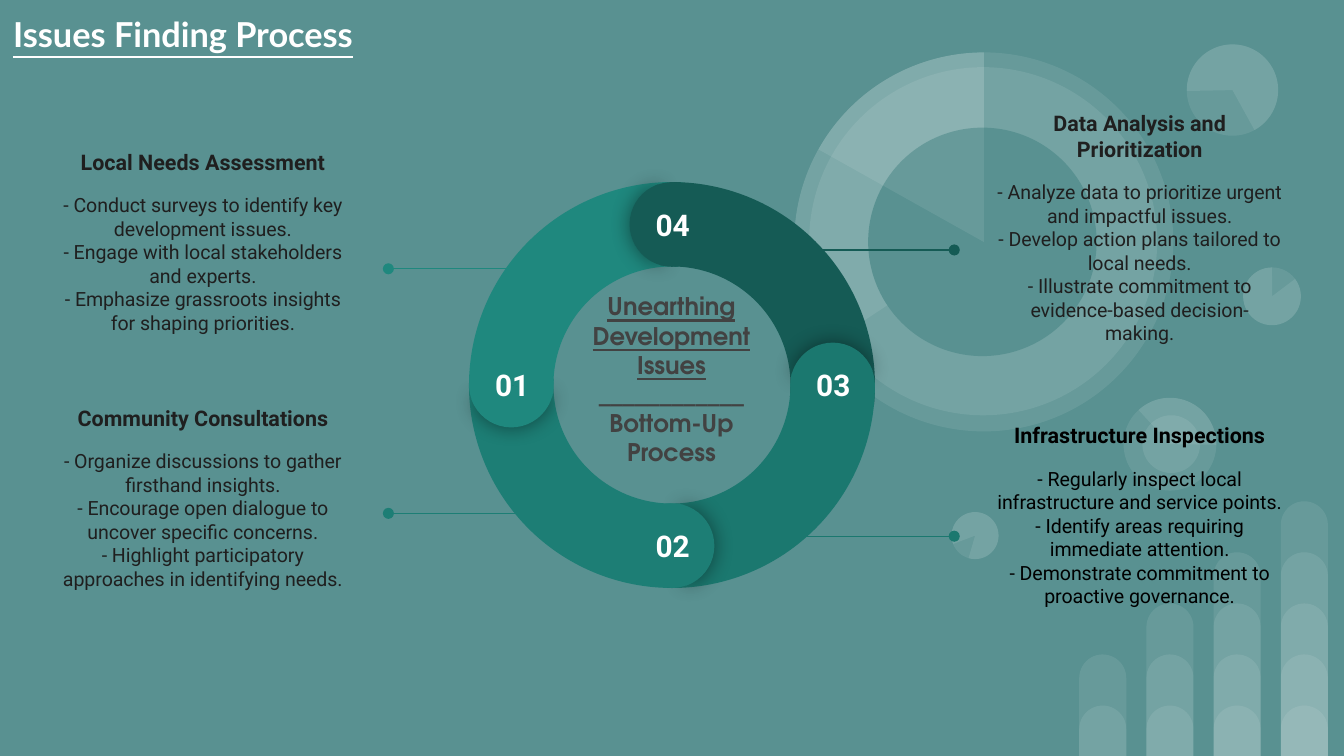
import math

import pptx
import pptx.dml.color
import pptx.enum.shapes
import pptx.enum.text
import pptx.oxml
import pptx.oxml.ns
import pptx.util
from lxml import etree

RGBColor = pptx.dml.color.RGBColor
SHAPE = pptx.enum.shapes.MSO_SHAPE
ANCHOR = pptx.enum.text.MSO_ANCHOR
ALIGN = pptx.enum.text.PP_ALIGN
qn = pptx.oxml.ns.qn

BACKGROUND = RGBColor(0x59, 0x91, 0x91)
WHITE = RGBColor(0xFF, 0xFF, 0xFF)
BLACK = RGBColor(0x00, 0x00, 0x00)
INK = RGBColor(0x1F, 0x1F, 0x1F)
GREY = RGBColor(0x42, 0x42, 0x42)
TEAL_1 = RGBColor(0x1F, 0x88, 0x7E)
TEAL_2 = RGBColor(0x1D, 0x7E, 0x75)
TEAL_3 = RGBColor(0x1B, 0x78, 0x6F)
TEAL_4 = RGBColor(0x15, 0x5B, 0x55)

# Square grid cells: 100 columns by 56.25 rows
COLUMNS, ROWS = 100, 56.25
SLIDE_WIDTH = pptx.util.Inches(10)
CELL = SLIDE_WIDTH // COLUMNS
INSET = 1

CENTER_X, CENTER_Y = 50, 28.65
RING, CAP = 30.2, 6.3
# Label, colour, clockwise angle of the cap from the top, end of the arc
RING_PARTS = [
    ("02", TEAL_2, 180, 181.8),
    ("01", TEAL_1, 270, 181.8),
    ("04", TEAL_4, 0, 183.5),
    ("03", TEAL_3, 90, 180.8),
]

# Left, top, height, extra bottom inset, colour, heading, points
TOPICS = [
    (3.5, 10.9, 16, 1.9, INK, "Local Needs Assessment", [
        "- Conduct surveys to identify key development issues.",
        "- Engage with local stakeholders and experts.",
        "- Emphasize grassroots insights for shaping priorities."]),
    (3.5, 30.9, 14.1, 1.9, INK, "Community Consultations", [
        "- Organize discussions to gather firsthand insights.",
        "- Encourage open dialogue to uncover specific concerns.",
        "- Highlight participatory approaches in identifying needs."]),
    (73.2, 11.6, 14.1, 3.5, INK, "Data Analysis and Prioritization", [
        "- Analyze data to prioritize urgent and impactful issues.",
        "- Develop action plans tailored to local needs.",
        "- Illustrate commitment to evidence-based decision-making."]),
    (73.2, 33, 14.1, 3.5, BLACK, "Infrastructure Inspections", [
        "- Regularly inspect local infrastructure and service points.",
        "- Identify areas requiring immediate attention.",
        "- Demonstrate commitment to proactive governance."]),
]

# Start column, end column, row, colour
LEADERS = [
    (40.3, 28.9, 20, TEAL_1),
    (43.2, 28.9, 38.2, TEAL_2),
    (57, 71, 18.6, TEAL_4),
    (57, 71, 39.9, TEAL_3),
]


def cells(count):
    return round(count * CELL)


def add_figure(page, kind, left, top, width, height, color,
               alpha=None, turn=0, adjustments=()):
    """Add a borderless preset shape; alpha is the opacity in percent."""
    shape = page.shapes.add_shape(
        kind, cells(left), cells(top), cells(width), cells(height))
    shape.shadow.inherit = False
    shape.rotation = turn
    shape.line.fill.background()
    shape.fill.solid()
    shape.fill.fore_color.rgb = color
    for index, value in enumerate(adjustments):
        shape.adjustments[index] = value
    if alpha is not None:
        tint = shape.element.spPr.find(qn("a:solidFill"))[0]
        etree.SubElement(tint, qn("a:alpha"), val=str(alpha * 1000))
    return shape


def add_glow_shadow(shape):
    effects = shape.element.spPr.find(qn("a:effectLst"))
    shadow = etree.SubElement(effects, qn("a:outerShdw"), dist="0", dir="0",
                              blurRad=str(pptx.util.Pt(11.2)), rotWithShape="0")
    color = etree.SubElement(shadow, qn("a:srgbClr"), val=str(BLACK))
    etree.SubElement(color, qn("a:alpha"), val="43000")


def add_text(page, left, top, width, height, lines, bottom=INSET,
             anchor=ANCHOR.TOP, align=ALIGN.CENTER):
    """Add a text box; each line is (text, font, size, colour, bold, underline)."""
    box = page.shapes.add_textbox(
        cells(left), cells(top), cells(width), cells(height))
    frame = box.text_frame
    frame.word_wrap = True
    frame.vertical_anchor = anchor
    frame.margin_left = frame.margin_right = frame.margin_top = cells(INSET)
    frame.margin_bottom = cells(bottom)
    for index, (text, face, size, color, bold, underline) in enumerate(lines):
        para = frame.add_paragraph() if index else frame.paragraphs[0]
        para.text = text
        para.alignment = align
        para.font.name = face
        para.font.size = pptx.util.Pt(size)
        para.font.color.rgb = color
        para.font.bold = bold
        para.font.underline = underline
    return box


def add_bars(page):
    for column in range(4):
        for step in range(column + 2):
            height = 3.75 + 3.8 * step
            add_figure(page, SHAPE.ROUND_2_SAME_RECTANGLE, 80.3 + 5 * column,
                       ROWS - height, 3.5, height, WHITE, 9,
                       adjustments=(0.5, 0))


def add_disc(page, left, top, size, color=WHITE, alpha=9):
    add_figure(page, SHAPE.OVAL, left, top, size, size, color, alpha)


def add_pie(page, left, top, size, start, end, turn=0, color=WHITE, alpha=9):
    return add_figure(page, SHAPE.PIE, left, top, size, size, color, alpha,
                      turn, (start, end))


def add_background_pies(page):
    small_pies = [(92.5, 19.9, 4.3, 193.77, 162, 0),
                  (70.8, 38.1, 3.5, 193.77, 162, 196.2),
                  (83.6, 29.6, 6.9, 82.45, 162.46, 90),
                  (88.3, 3.3, 6.8, 193.77, 123.14, 215.9)]
    for left, top, size, start, end, turn in small_pies:
        add_disc(page, left, top, size)
        add_pie(page, left, top, size, start, end, turn)
    add_disc(page, 85, 30.9, 4.3)

    large = (59.1, 3.9, 28.2)
    add_disc(page, *large)
    add_disc(page, 60.2, 5, 25.9)
    add_pie(page, *large, 88.01, 162)
    add_disc(page, 64.6, 9.5, 17, BACKGROUND, None)
    add_pie(page, *large, 125.54, 162)


def add_ring(page):
    for label, color, angle, end in RING_PARTS:
        add_figure(page, SHAPE.BLOCK_ARC, CENTER_X - RING / 2,
                   CENTER_Y - RING / 2, RING, RING, color,
                   turn=(angle + 60) % 360, adjustments=(126.2, end, 0.208))
    radius = (RING - CAP) / 2
    for label, color, angle, end in RING_PARTS:
        x = CENTER_X + radius * math.sin(math.radians(angle))
        y = CENTER_Y - radius * math.cos(math.radians(angle))
        place = (x - CAP / 2, y - CAP / 2, CAP)
        add_glow_shadow(add_pie(page, *place, 61.9, 149.96, angle + 0.7,
                                color, None))
        add_pie(page, *place, 40.28, 171.84, (angle + 180) % 360, color, None)
        add_text(page, x - 2.7, y - 2.35, 5.5, 2.9,
                 [(label, "Roboto", 16, WHITE, True, False)])


def add_topic(page, left, top, height, extra, color, heading, points):
    lines = [(heading, "Roboto", 11.5, color, True, False)]
    lines += [(point, "Roboto", 10.5, color, False, False) for point in points]
    box = add_text(page, left, top, 23.2, height, lines, INSET + extra,
                   ANCHOR.MIDDLE)
    box.text_frame.paragraphs[1].space_before = pptx.util.Pt(10)


def add_leader(page, start, end, row, color):
    """Add a horizontal line that ends in a dot."""
    line = page.shapes.add_connector(
        pptx.enum.shapes.MSO_CONNECTOR.STRAIGHT,
        cells(start), cells(row), cells(end), cells(row))
    line.line.color.rgb = color
    line.line.width = pptx.util.Pt(0.75)
    properties = line.element.spPr
    etree.SubElement(properties.find(qn("a:ln")), qn("a:tailEnd"),
                     type="oval", w="med", len="med")
    etree.SubElement(properties, qn("a:effectLst"))


def main():
    deck = pptx.Presentation()
    deck.slide_width = SLIDE_WIDTH
    deck.slide_height = cells(ROWS)
    page = deck.slides.add_slide(deck.slide_layouts[6])
    page.background.fill.solid()
    page.background.fill.fore_color.rgb = BACKGROUND

    add_bars(page)
    add_background_pies(page)
    add_ring(page)
    for topic in TOPICS:
        add_topic(page, *topic)
    for leader in LEADERS:
        add_leader(page, *leader)
    center_style = ("TeX Gyre Adventor", 13, GREY, True)
    add_text(page, 42.4, 20.7, 15.1, 6.9, [
        ("Unearthing Development Issues", *center_style, True),
        ("____________", *center_style, False),
        ("Bottom-Up Process", *center_style, False)])
    add_text(page, 0, 0, 34.4, 7.2,
             [("Issues Finding Process", "Lato", 18.4, WHITE, True, True)],
             align=ALIGN.LEFT)
    deck.save("out.pptx")


if __name__ == "__main__":
    main()
